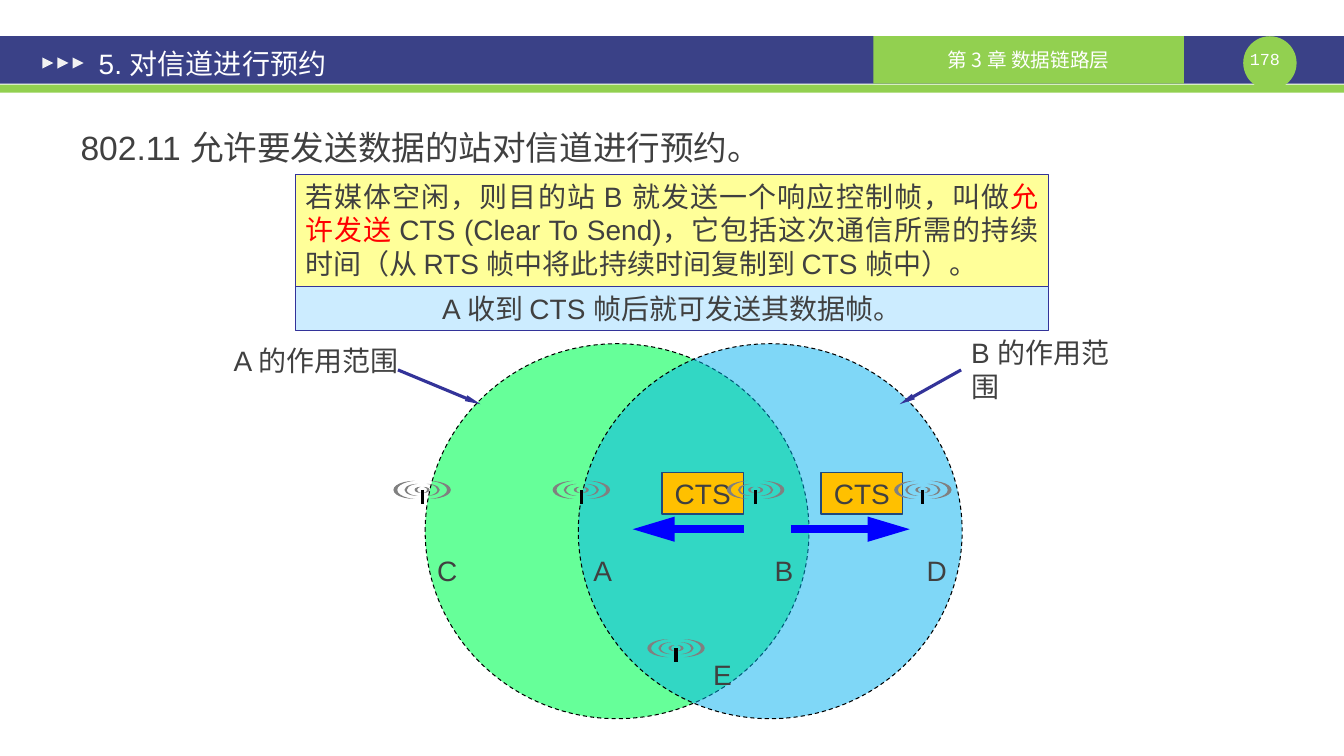
"""Build a slide on channel reservation with CTS frames in 802.11."""
from dataclasses import dataclass
from typing import Any, NamedTuple, Optional

from pptx import Presentation
from pptx.dml.color import RGBColor
from pptx.enum.dml import MSO_LINE
from pptx.enum.shapes import MSO_CONNECTOR, MSO_SHAPE
from pptx.enum.text import MSO_ANCHOR, MSO_AUTO_SIZE, PP_ALIGN
from pptx.oxml.ns import qn
from pptx.oxml.xmlchemy import OxmlElement
from pptx.util import Emu, Inches, Pt

RECTANGLE, OVAL = MSO_SHAPE.RECTANGLE, MSO_SHAPE.OVAL
MOON, TRIANGLE = MSO_SHAPE.MOON, MSO_SHAPE.ISOSCELES_TRIANGLE
STRAIGHT, DASH = MSO_CONNECTOR.STRAIGHT, MSO_LINE.DASH
LEFT, CENTER, JUSTIFY = PP_ALIGN.LEFT, PP_ALIGN.CENTER, PP_ALIGN.JUSTIFY
TOP, MIDDLE, NO_FIT = MSO_ANCHOR.TOP, MSO_ANCHOR.MIDDLE, MSO_AUTO_SIZE.NONE
COLUMNS, ROWS = 133.4, 75


@dataclass(frozen=True)
class Theme:
    """Colours, fonts and type sizes of the slide."""
    navy: str = "3A4187"
    lime: str = "92D050"
    white: str = "FFFFFF"
    pale: str = "F2F2F2"
    text: str = "404040"
    alert: str = "FF0000"
    rule: str = "333399"
    note: str = "FFFF99"
    result: str = "CCECFF"
    frame: str = "FFC000"
    frame_edge: str = "1F497D"
    signal: str = "0000FF"
    green: str = "66FF99"
    blue: str = "00B0F0"
    wave: str = "808080"
    black: str = "000000"
    latin: str = "Arial"
    mono: str = "Courier New"
    chinese: str = "Noto Sans CJK SC"
    lead_size: float = 24
    main_size: float = 20
    chapter_size: float = 14
    page_size: float = 12


THEME = Theme()


class Box(NamedTuple):
    """A place on the grid, in columns and rows."""
    left: float
    top: float
    width: float
    height: float


class Point(NamedTuple):
    """A grid point."""
    x: float
    y: float


class Span(NamedTuple):
    """A stretch of text with one look."""
    text: str
    color: str = THEME.text
    size: float = THEME.main_size
    font: str = THEME.latin


class Outline(NamedTuple):
    """Colour and width of a line."""
    color: str
    width: float


class Coverage(NamedTuple):
    """The radio range of a station, with its label and pointer."""
    circle: Box
    fill: str
    alpha: Optional[int]
    label: str
    label_box: Box
    start: Point
    end: Point


class Frame(NamedTuple):
    """A CTS frame and the arrow that shows its way."""
    left: float
    start: float
    end: float


class Station(NamedTuple):
    """A station: its letter, the letter's place and the antenna."""
    name: str
    label: Point
    antenna: Point


class Wave(NamedTuple):
    """A pair of mirrored arcs around an antenna."""
    gap: float
    width: float
    height: float
    bend: float


COVERAGES = [
    Coverage(Box(42.2, 34.1, 38.1, 37.2), THEME.green, None, "A 的作用范围",
             Box(22.2, 33.6, 18.9, 4.4), Point(39.5, 36.7), Point(47.7, 40.1)),
    Coverage(Box(57.4, 34.1, 38.1, 37.2), THEME.blue, 50, "B 的作用范围",
             Box(95.4, 32.8, 18.5, 4.3), Point(95.4, 36.7), Point(89.3, 40.1)),
]
FRAMES = [Frame(65.7, 73.8, 62.8), Frame(81.5, 78.5, 90.3)]
STATIONS = [
    Station("C", Point(42.4, 54.4), Point(41.9, 48.6)),
    Station("A", Point(57.9, 54.4), Point(57.7, 48.6)),
    Station("B", Point(75.9, 54.4), Point(75, 48.6)),
    Station("D", Point(91, 54.4), Point(91.6, 48.6)),
    Station("E", Point(69.8, 64.7), Point(67.1, 64.3)),
]
WAVES = [Wave(0.75, 2.1, 1.8, 0.18), Wave(0.45, 1.3, 1.2, 0.18), Wave(0.15, 0.6, 0.6, 0.42)]


def cells(count: float) -> Emu:
    """Turn grid cells into a length."""
    return Inches(count / 10)


def apply(target: Any, formats: dict[str, Any]) -> None:
    """Set every format value on the target."""
    for name, value in formats.items():
        setattr(target, name, value)


def write(shape: Any, spans: list[Span], align: Any = LEFT, anchor: Any = TOP,
          wrap: bool = True, inset: tuple[float, float] = (1, 0.5), spacing: float = 1) -> None:
    """Fill a shape with one paragraph of formatted spans."""
    across, down = map(cells, inset)
    frame = shape.text_frame
    apply(frame, {"auto_size": NO_FIT, "word_wrap": wrap, "vertical_anchor": anchor,
                  "margin_left": across, "margin_right": across,
                  "margin_top": down, "margin_bottom": down})
    paragraph = frame.paragraphs[0]
    apply(paragraph, {"alignment": align, "line_spacing": spacing, "space_before": Pt(0)})
    for span in spans:
        run = paragraph.add_run()
        run.text = span.text
        apply(run.font, {"size": Pt(span.size), "name": span.font, "bold": False})
        run.font.color.rgb = RGBColor.from_string(span.color)
        east_asian = OxmlElement("a:ea")
        east_asian.set("typeface", THEME.chinese)
        run.font.color
        run._r.get_or_add_rPr().append(east_asian)


def add_block(slide: Any, kind: Any, box: Box, fill: str, outline: Optional[Outline] = None) -> Any:
    """Add a filled preset shape."""
    shape = slide.shapes.add_shape(kind, *map(cells, box))
    shape.shadow.inherit = False
    shape.fill.solid()
    shape.fill.fore_color.rgb = RGBColor.from_string(fill)
    if outline:
        shape.line.color.rgb = RGBColor.from_string(outline.color)
        shape.line.width = Pt(outline.width)
    else:
        shape.line.fill.background()
    return shape


def add_label(slide: Any, box: Box, span: Span, **layout: Any) -> None:
    """Add a text box."""
    write(slide.shapes.add_textbox(*map(cells, box)), [span], **layout)


def add_line(slide: Any, start: Point, end: Point, outline: Outline,
             head_width: Optional[str] = None) -> None:
    """Add a straight line, with a long arrowhead if a head width is given."""
    line = slide.shapes.add_connector(STRAIGHT, *map(cells, (*start, *end)))
    line.line.color.rgb = RGBColor.from_string(outline.color)
    line.line.width = Pt(outline.width)
    properties = line.element.spPr
    if head_width:
        head = OxmlElement("a:tailEnd")
        for name, value in {"type": "triangle", "w": head_width, "len": "lg"}.items():
            head.set(name, value)
        properties.find(qn("a:ln")).append(head)
    properties.append(OxmlElement("a:effectLst"))


def place_text(placeholder: Any, box: Box, span: Span, **layout: Any) -> None:
    """Move a placeholder to the front and fill it without a bullet."""
    apply(placeholder, dict(zip(("left", "top", "width", "height"), map(cells, box))))
    placeholder.element.getparent().append(placeholder.element)
    properties = placeholder.text_frame.paragraphs[0]._p.get_or_add_pPr()
    properties.set("marL", str(cells(6.7)) if "spacing" in layout else "0")
    properties.set("indent", str(-cells(6.7)) if "spacing" in layout else "0")
    properties.append(OxmlElement("a:buNone"))
    write(placeholder, [span], inset=(1.3, 0.7), **layout)


def add_header(slide: Any) -> None:
    """Draw the header bars, chapter name, page number and title."""
    add_block(slide, RECTANGLE, Box(0, 3.6, COLUMNS, 4.7), THEME.navy)
    add_block(slide, RECTANGLE, Box(0, 8.4, COLUMNS, 0.8), THEME.lime)
    add_block(slide, OVAL, Box(123.4, 3.6, 5.3, 5.3), THEME.lime)
    add_label(slide, Box(123.4, 4.8, 5.3, 2), Span("178 ", THEME.white, THEME.page_size, THEME.mono),
              align=CENTER, inset=(0, 0))
    chapter = add_block(slide, RECTANGLE, Box(86.7, 3.6, 30.8, 4.7), THEME.lime)
    write(chapter, [Span("第 3 章 数据链路层", THEME.white, THEME.chapter_size, THEME.chinese)],
          align=CENTER, anchor=MIDDLE)
    for index in range(3):
        add_block(slide, TRIANGLE, Box(4.2 + 1.5 * index, 5.7, 1.1, 1.1), THEME.pale).rotation = 90
    place_text(slide.shapes.title, Box(8.5, 3.9, 58.3, 4.7), Span("5. 对信道进行预约", THEME.white),
               anchor=MIDDLE)


def add_coverage(slide: Any, coverage: Coverage) -> None:
    """Draw a radio range with its label and pointer."""
    circle = add_block(slide, OVAL, coverage.circle, coverage.fill, Outline(THEME.black, 0.75))
    circle.line.dash_style = DASH
    if coverage.alpha:
        alpha = OxmlElement("a:alpha")
        alpha.set("val", str(coverage.alpha * 1000))
        circle.element.spPr.find(qn("a:solidFill"))[0].append(alpha)
    add_label(slide, coverage.label_box, Span(coverage.label))
    add_line(slide, coverage.start, coverage.end, Outline(THEME.rule, 2.25), "sm")


def add_frame(slide: Any, frame: Frame) -> None:
    """Draw a CTS frame above its arrow."""
    block = add_block(slide, RECTANGLE, Box(frame.left, 46.9, 8.1, 4.1), THEME.frame,
                      Outline(THEME.frame_edge, 1))
    write(block, [Span("CTS")], align=CENTER, anchor=MIDDLE, wrap=False)
    add_line(slide, Point(frame.start, 52.5), Point(frame.end, 52.5), Outline(THEME.signal, 6), "med")


def add_station(slide: Any, station: Station) -> None:
    """Draw a station's letter, mast and waves."""
    add_label(slide, Box(*station.label, 4.5, 4.4), Span(station.name))
    x, y = station.antenna
    add_line(slide, station.antenna, Point(x, y + 1.4), Outline(THEME.black, 2.25))
    for wave in WAVES:
        for offset, turn in ((-wave.gap - wave.width, 0), (wave.gap, 180)):
            box = Box(x + offset, y - wave.height / 2, wave.width, wave.height)
            arc = add_block(slide, MOON, box, THEME.wave)
            arc.adjustments[0] = wave.bend
            arc.rotation = turn


def main() -> None:
    """Build and save the slide."""
    presentation = Presentation()
    apply(presentation, {"slide_width": cells(COLUMNS), "slide_height": cells(ROWS)})
    slide = presentation.slides.add_slide(presentation.slide_layouts[1])
    add_header(slide)
    place_text(slide.placeholders[1], Box(6.7, 9.9, 120.1, 57.6),
               Span("802.11 允许要发送数据的站对信道进行预约。", size=THEME.lead_size), spacing=1.5)
    for coverage in COVERAGES:
        add_coverage(slide, coverage)
    for frame in FRAMES:
        add_frame(slide, frame)
    edge = Outline(THEME.rule, 0.75)
    write(add_block(slide, RECTANGLE, Box(29.3, 17.3, 74.8, 11.1), THEME.note, edge), [
        Span("若媒体空闲，则目的站 B 就发送一个响应控制帧，叫做"),
        Span("允许发送 ", THEME.alert),
        Span("CTS (Clear To Send)，它包括这次通信所需的持续时间（从 RTS 帧中将此持续时间复制到 CTS 帧中）。"),
    ], align=JUSTIFY)
    write(add_block(slide, RECTANGLE, Box(29.3, 28.4, 74.8, 4.4), THEME.result, edge),
          [Span("A 收到 CTS 帧后就可发送其数据帧。")], align=CENTER)
    for station in STATIONS:
        add_station(slide, station)
    presentation.save("out.pptx")


if __name__ == "__main__":
    main()
